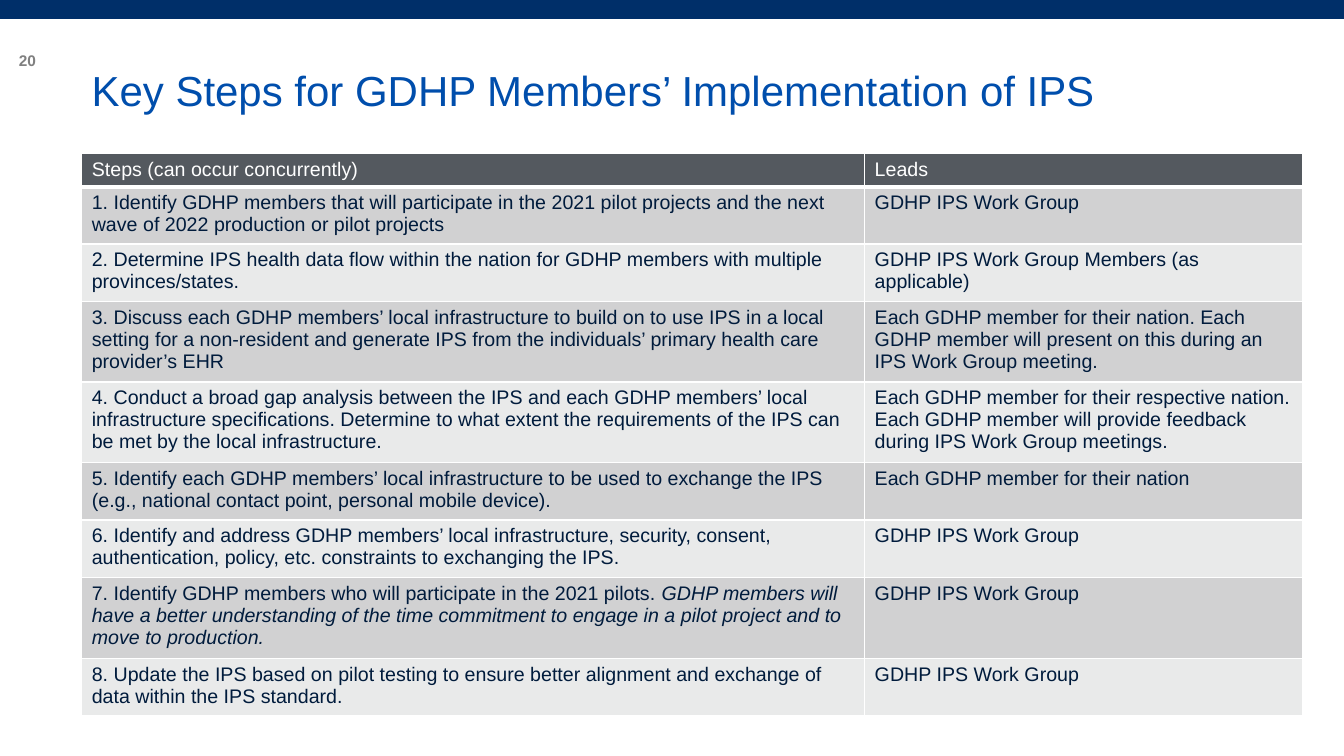
from dataclasses import dataclass

from lxml import etree
from pptx import Presentation
from pptx.dml.color import RGBColor
from pptx.enum import shapes, text
from pptx.oxml import ns
from pptx.util import Cm, Pt

FONT = "Arial"
COLORS = {
    "band": "002F69", "title": "004EAC", "number": "808080",
    "header": "54595F", "odd": "D1D1D2", "even": "E9EAEA",
    "ink": "001B3C", "white": "FFFFFF",
}
WORK_GROUP = "GDHP IPS Work Group"


@dataclass(frozen=True)
class Step:
    task: str
    leads: str
    height: float  # cm
    remark: str = ""  # set in italics after the task


HEADER = Step("Steps (can occur concurrently)", "Leads", 0.84)
STEPS = [
    Step("1. Identify GDHP members that will participate in the 2021 pilot projects "
         "and the next wave of 2022 production or pilot projects", WORK_GROUP, 1.42),
    Step("2. Determine IPS health data flow within the nation for GDHP members with "
         "multiple provinces/states.",
         "GDHP IPS Work Group Members (as applicable)", 1.42),
    Step("3. Discuss each GDHP members’ local infrastructure to build on to use IPS in "
         "a local setting for a non-resident and generate IPS from the individuals’ "
         "primary health care provider’s EHR",
         "Each GDHP member for their nation. Each GDHP member will present on this "
         "during an IPS Work Group meeting.", 2.01),
    Step("4. Conduct a broad gap analysis between the IPS and each GDHP members’ local "
         "infrastructure specifications. Determine to what extent the requirements of "
         "the IPS can be met by the local infrastructure.",
         "Each GDHP member for their respective nation. Each GDHP member will provide "
         "feedback during IPS Work Group meetings.", 2.04),
    Step("5. Identify each GDHP members’ local infrastructure to be used to exchange "
         "the IPS (e.g., national contact point, personal mobile device).",
         "Each GDHP member for their nation", 1.42),
    Step("6. Identify and address GDHP members’ local infrastructure, security, consent, "
         "authentication, policy, etc. constraints to exchanging the IPS.",
         WORK_GROUP, 1.42),
    Step("7. Identify GDHP members who will participate in the 2021 pilots. ",
         WORK_GROUP, 2.04,
         "GDHP members will have a better understanding of the time commitment to "
         "engage in a pilot project and to move to production."),
    Step("8. Update the IPS based on pilot testing to ensure better alignment and "
         "exchange of data within the IPS standard.", WORK_GROUP, 1.42),
]


def rgb(name: str) -> RGBColor:
    return RGBColor.from_string(COLORS[name])


def add_run(paragraph, words: str, size: float, color: str,
            bold: bool = False, italic: bool = False) -> None:
    run = paragraph.add_run()
    run.text = words
    run.font.name = FONT
    run.font.size = Pt(size)
    run.font.bold = bold
    run.font.italic = italic
    run.font.color.rgb = rgb(color)


def add_text_box(slide, left: float, top: float, width: float, height: float):
    box = slide.shapes.add_textbox(Cm(left), Cm(top), Cm(width), Cm(height))
    box.text_frame.word_wrap = True
    return box.text_frame


def set_borders(cell, bottom: float) -> None:
    properties = cell._tc.get_or_add_tcPr()
    widths = {"lnL": 1, "lnR": 1, "lnT": 1, "lnB": bottom}
    for position, (side, width) in enumerate(widths.items()):
        line = etree.Element(ns.qn(f"a:{side}"), w=str(Pt(width)))
        fill = etree.SubElement(line, ns.qn("a:solidFill"))
        etree.SubElement(fill, ns.qn("a:srgbClr"), val=COLORS["white"])
        properties.insert(position, line)


def fill_row(table, index: int, step: Step) -> None:
    is_header = index == 0
    fill = "header" if is_header else "odd" if index % 2 else "even"
    ink = "white" if is_header else "ink"
    table.rows[index].height = Cm(step.height)
    for column, words in enumerate((step.task, step.leads)):
        cell = table.cell(index, column)
        cell.fill.solid()
        cell.fill.fore_color.rgb = rgb(fill)
        set_borders(cell, 3 if is_header else 1)
        paragraph = cell.text_frame.paragraphs[0]
        add_run(paragraph, words, 14, ink)
        if column == 0 and step.remark:
            add_run(paragraph, step.remark, 14, ink, italic=True)


def main() -> None:
    deck = Presentation()
    deck.slide_width, deck.slide_height = Cm(33.87), Cm(19.05)
    slide = deck.slides.add_slide(deck.slide_layouts[6])

    # Slide number and top band
    number = add_text_box(slide, -0.08, 1, 1.24, 1.02)
    number.vertical_anchor = text.MSO_ANCHOR.MIDDLE
    number.paragraphs[0].alignment = text.PP_ALIGN.RIGHT
    add_run(number.paragraphs[0], "20", 11, "number", bold=True)

    band = slide.shapes.add_shape(
        shapes.MSO_SHAPE.RECTANGLE, Cm(-0.08), Cm(0), Cm(33.95), Cm(0.48))
    band.shadow.inherit = False
    band.fill.solid()
    band.fill.fore_color.rgb = rgb("band")
    band.line.fill.background()

    # Title
    title = add_text_box(slide, 2.06, 1.65, 26.06, 2.31)
    title.paragraphs[0].line_spacing = 0.9
    add_run(title.paragraphs[0],
            "Key Steps for GDHP Members’ Implementation of IPS", 30, "title")

    # Steps and leads
    rows = [HEADER, *STEPS]
    widths = (19.73, 11.03)
    table = slide.shapes.add_table(
        len(rows), len(widths), Cm(2.06), Cm(3.86), Cm(sum(widths)),
        Cm(sum(step.height for step in rows))).table
    for column, width in zip(table.columns, widths):
        column.width = Cm(width)
    for index, step in enumerate(rows):
        fill_row(table, index, step)

    deck.save("out.pptx")


if __name__ == "__main__":
    main()
